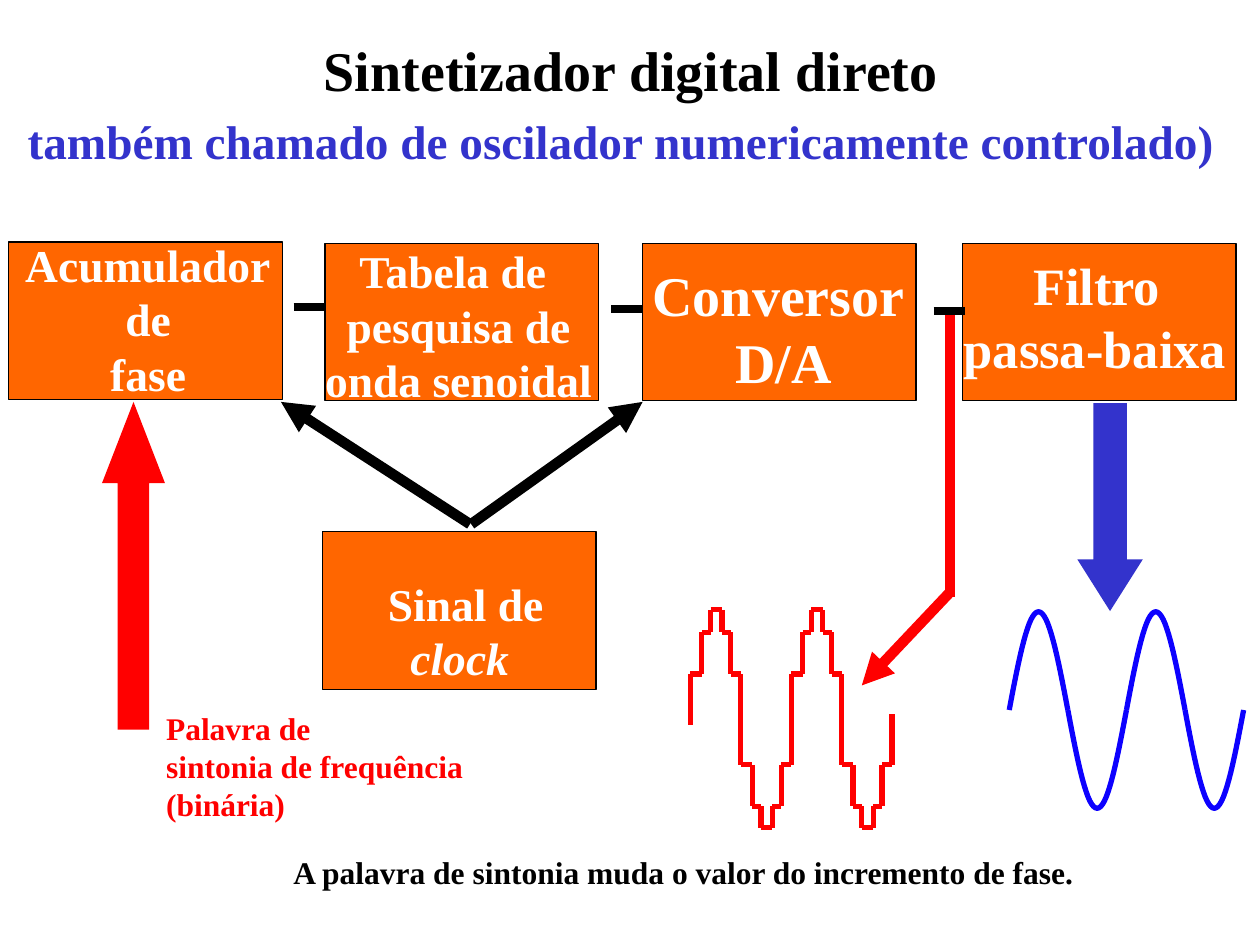
from dataclasses import dataclass
from itertools import pairwise
from math import pi, sin

from lxml.etree import SubElement
from pptx import Presentation
from pptx.dml.color import RGBColor
from pptx.enum.shapes import MSO_CONNECTOR, MSO_SHAPE
from pptx.enum.text import MSO_ANCHOR, MSO_AUTO_SIZE, PP_ALIGN
from pptx.oxml.ns import qn
from pptx.util import Inches, Pt


@dataclass(frozen=True)
class Theme:
    font: str = "Times New Roman"
    black: RGBColor = RGBColor(0x00, 0x00, 0x00)
    white: RGBColor = RGBColor(0xFF, 0xFF, 0xFF)
    orange: RGBColor = RGBColor(0xFF, 0x66, 0x00)
    red: RGBColor = RGBColor(0xFF, 0x00, 0x00)
    violet: RGBColor = RGBColor(0x33, 0x33, 0xCC)
    blue: RGBColor = RGBColor(0x0D, 0x01, 0xFF)
    title: int = 32
    subtitle: int = 27
    label_large: int = 32
    label_medium: int = 30
    label: int = 26
    note: int = 18


theme = Theme()
deck = Presentation()
deck.slide_width, deck.slide_height = Inches(10), Inches(7.5)
slide = deck.slides.add_slide(deck.slide_layouts[5])
shapes = slide.shapes


def write_text(lines, at, size, color, holder=None, align=PP_ALIGN.LEFT, indents=(), italic_line=None):
    """Write one paragraph per line; indents gives a left indent per line in inches."""
    left, top, width, height = map(Inches, at)
    holder = holder or shapes.add_textbox(left, top, width, height)
    holder.left, holder.top, holder.width, holder.height = left, top, width, height
    frame = holder.text_frame
    frame.text = "\n".join(lines)
    frame.vertical_anchor = MSO_ANCHOR.TOP
    # Indented lines need a fixed width, with the right inset freed for them
    frame.word_wrap = bool(indents)
    frame.auto_size = MSO_AUTO_SIZE.NONE if indents else MSO_AUTO_SIZE.SHAPE_TO_FIT_TEXT
    if indents:
        frame.margin_right = 0
    for number, paragraph in enumerate(frame.paragraphs):
        paragraph.alignment = align
        if number < len(indents):
            properties = paragraph._p.get_or_add_pPr()
            properties.set("marL", str(Inches(indents[number])))
            properties.set("indent", "0")
        for run in paragraph.runs:
            run.font.name, run.font.size, run.font.bold = theme.font, Pt(size), True
            run.font.color.rgb = color
            if number == italic_line:
                run.font.italic = True


def draw_line(start, end, color, weight, arrow=False):
    line = shapes.add_connector(MSO_CONNECTOR.STRAIGHT, *map(Inches, (*start, *end)))
    line.line.color.rgb = color
    line.line.width = Pt(weight)
    if arrow:
        SubElement(line.line._get_or_add_ln(), qn("a:tailEnd"), type="triangle")
    SubElement(line._element.spPr, qn("a:effectLst"))


# Heading
write_text(["Sintetizador digital direto"], (2.47, 0.23, 5.09, 0.64), theme.title, theme.black,
           holder=shapes.title)
write_text(["também chamado de oscilador numericamente controlado)"], (0.12, 0.84, 9.62, 0.55),
           theme.subtitle, theme.violet)

# Lead from the converter output down to the stepped wave
draw_line((7.54, 4.74), (7.54, 2.5), theme.red, 6)

# Blocks: corner, label lines, label area, label format
blocks = [
    ((0.07, 1.92), ["Acumulador", "de", "fase"], (0.1, 1.83, 2.15, 1.4),
     dict(size=theme.label, align=PP_ALIGN.CENTER)),
    ((2.58, 1.93), ["Tabela de ", "pesquisa de", "onda senoidal"], (2.48, 1.88, 2.32, 1.4),
     dict(size=theme.label, align=PP_ALIGN.CENTER)),
    ((5.1, 1.93), ["Conversor", "D/A"], (5.08, 2.02, 2.2, 1.17),
     dict(size=theme.label_large, indents=(0, 0.66))),
    ((7.64, 1.93), ["Filtro", "passa-baixa"], (7.55, 1.96, 2.28, 1.14),
     dict(size=theme.label_medium, indents=(0.55, 0))),
    ((2.56, 4.22), ["Sinal de", "clock"], (2.98, 4.52, 1.43, 0.97),
     dict(size=theme.label, indents=(0, 0.18), italic_line=1)),
]
for (left, top), lines, label_area, label_format in blocks:
    block = shapes.add_shape(MSO_SHAPE.RECTANGLE, *map(Inches, (left, top, 2.17, 1.25)))
    block.shadow.inherit = False
    block.fill.solid()
    block.fill.fore_color.rgb = theme.orange
    block.line.color.rgb = theme.black
    block.line.width = Pt(0.75)
    write_text(lines, label_area, color=theme.white, **label_format)

# Block arrows: tuning word in, filtered wave out
for kind, area, adjustments, color in [
    (MSO_SHAPE.UP_ARROW, (0.81, 3.19, 0.5, 2.6), (0.5, 1.29), theme.red),
    (MSO_SHAPE.DOWN_ARROW, (8.55, 3.2, 0.52, 1.65), (0.51, 0.79), theme.violet),
]:
    flow = shapes.add_shape(kind, *map(Inches, area))
    flow.shadow.inherit = False
    flow.adjustments[0], flow.adjustments[1] = adjustments
    flow.fill.solid()
    flow.fill.fore_color.rgb = color
    flow.line.fill.background()

# Smooth sine wave, one outline per half period
wave_left, wave_middle, amplitude, half_period, samples = 8.01, 5.635, 0.78, 0.465, 32
for half in range(4):
    sign = -1 if half % 2 == 0 else 1
    points = [
        (Inches(wave_left + (half + step / samples) * half_period),
         Inches(wave_middle + sign * amplitude * sin(pi * step / samples)))
        for step in range(samples + 1)
    ]
    outline = shapes.build_freeform(*points[0])
    outline.add_line_segments(points[1:], close=False)
    half_wave = outline.convert_to_shape()
    half_wave.shadow.inherit = False
    half_wave.fill.background()
    half_wave.line.color.rgb = theme.blue
    half_wave.line.width = Pt(3)

# Links between neighbouring blocks
for left, y in [(2.33, 2.44), (4.85, 2.45), (7.41, 2.47)]:
    draw_line((left, y), (left + 0.25, y), theme.black, 4.5)

# Stepped wave: each tread is (start, end, height), repeated for two periods
treads = [
    (0, 0.09, 5.35), (0.09, 0.16, 5.02), (0.16, 0.25, 4.84), (0.25, 0.32, 5.02), (0.32, 0.4, 5.35),
    (0.4, 0.49, 6.07), (0.49, 0.56, 6.4), (0.56, 0.65, 6.57), (0.65, 0.72, 6.4), (0.72, 0.8, 6.07),
]
stair = [(5.48, 5.75)]
for period_left in (5.48, 6.28):
    for start, end, y in treads:
        stair += [(period_left + start, y), (period_left + end, y)]
stair.append((7.08, 5.67))
for start, end in pairwise(stair):
    draw_line(start, end, theme.red, 3)

# Arrows to the stepped wave and from the clock
draw_line((7.54, 4.7), (6.84, 5.44), theme.red, 6, arrow=True)
draw_line((3.73, 4.16), (2.23, 3.19), theme.black, 6, arrow=True)
draw_line((3.74, 4.16), (5.1, 3.19), theme.black, 6, arrow=True)

# Notes
write_text(["Palavra de", "sintonia de frequência", "(binária)"], (1.22, 5.58, 2.56, 1),
           theme.note, theme.red)
write_text(["A palavra de sintonia muda o valor do incremento de fase."], (2.23, 6.72, 6.48, 0.4),
           theme.note, theme.black)

deck.save("out.pptx")
